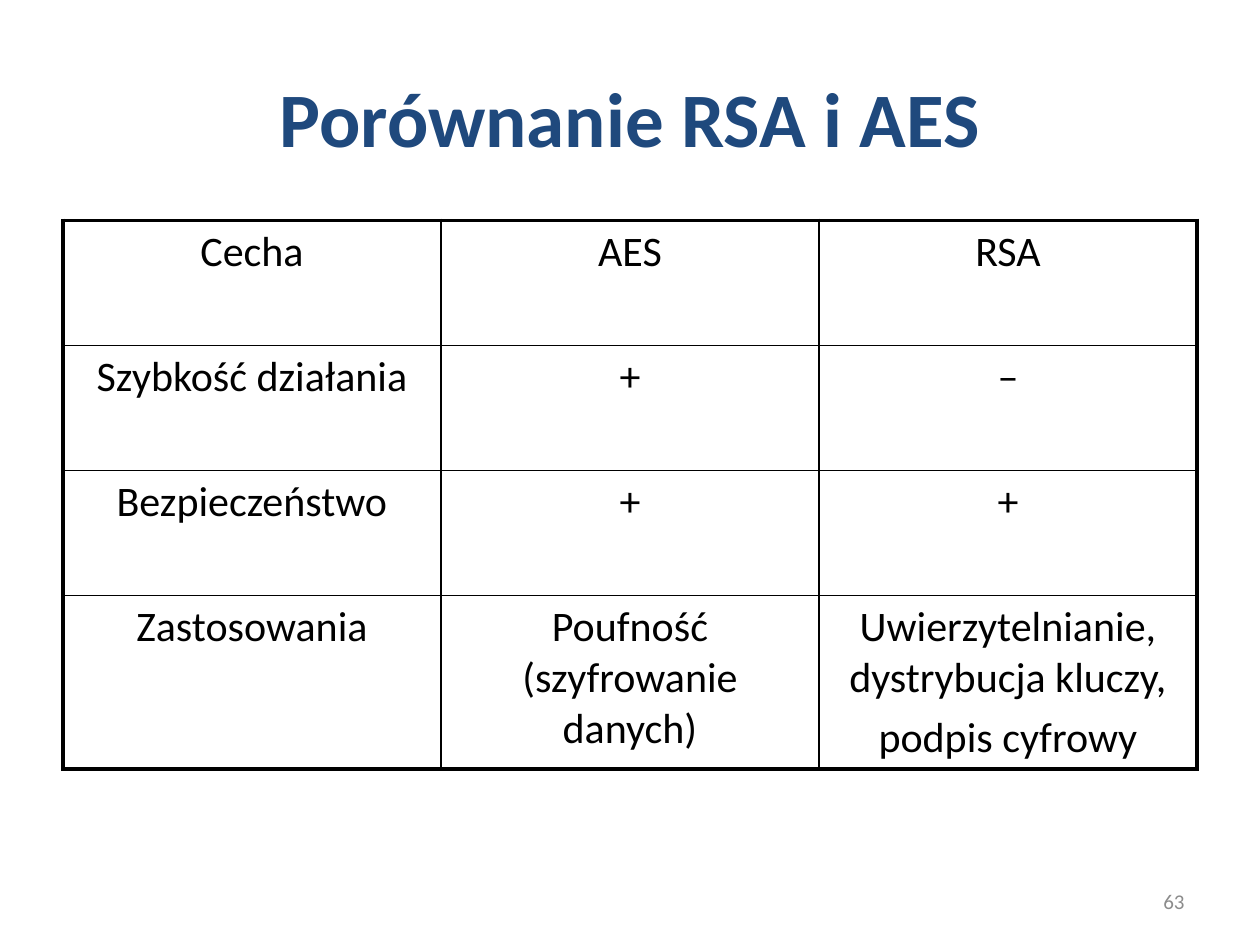
from lxml.etree import SubElement
from pptx import Presentation
from pptx.dml.color import RGBColor
from pptx.enum.text import MSO_ANCHOR, PP_ALIGN
from pptx.oxml.ns import qn
from pptx.util import Cm, Pt

TITLE = "Porównanie RSA i AES"
PAGE = "63"
ROWS = [
    ["Cecha", "AES", "RSA"],
    ["Szybkość działania", "+", "–"],
    ["Bezpieczeństwo", "+", "+"],
    ["Zastosowania", "Poufność (szyfrowanie danych)",
     "Uwierzytelnianie, dystrybucja kluczy,\npodpis cyfrowy"],
]
TALL = [2.52, 2.52, 2.52, 3.5]
LEFT, TOP, WIDE = 1.27, 4.44, 22.86
INK, THIN, THICK = "000000", 1, 2.25

HEAD = dict(size=Pt(44), bold=True, name="Calibri")
BODY = dict(size=Pt(24), name="Calibri")
FOOT = dict(size=Pt(12), name="Calibri")


def paint(color, code):
    color.rgb = RGBColor.from_string(code)


def write(frame, text, form, code, align, gap=0):
    frame.text = text
    for para in frame.paragraphs:
        para.alignment = align
        para.space_before = Pt(gap)
        for run in para.runs:
            for key, val in form.items():
                setattr(run.font, key, val)
            paint(run.font.color, code)


def label(slide, box, text, form, code, align):
    frame = slide.shapes.add_textbox(*map(Cm, box)).text_frame
    frame.word_wrap = True
    frame.vertical_anchor = MSO_ANCHOR.MIDDLE
    write(frame, text, form, code, align)


def border(cell, outer):
    """Draw all four sides, thick where the side is on the table's edge."""
    props = cell._tc.get_or_add_tcPr()
    for side, edge in outer.items():
        width = Pt(THICK if edge else THIN)
        line = SubElement(props, qn(f"a:ln{side}"), w=str(width))
        fill = SubElement(line, qn("a:solidFill"))
        SubElement(fill, qn("a:srgbClr"), val=INK)


def grid(slide):
    rows, cols = len(ROWS), len(ROWS[0])
    table = slide.shapes.add_table(
        rows, cols, Cm(LEFT), Cm(TOP), Cm(WIDE), Cm(sum(TALL))).table
    table.first_row = table.horz_banding = False
    for col in table.columns:
        col.width = Cm(WIDE / cols)
    for r, texts in enumerate(ROWS):
        table.rows[r].height = Cm(TALL[r])
        for c, text in enumerate(texts):
            cell = table.cell(r, c)
            write(cell.text_frame, text, BODY, INK, PP_ALIGN.CENTER, 4.8)
            border(cell, dict(L=c == 0, R=c == cols - 1,
                              T=r == 0, B=r == rows - 1))
            cell.fill.background()


def main():
    deck = Presentation()
    deck.slide_width, deck.slide_height = Cm(25.4), Cm(19.05)
    slide = deck.slides.add_slide(deck.slide_layouts[6])
    label(slide, (LEFT, 0.76, WIDE, 3.18), TITLE, HEAD, "1F497D",
          PP_ALIGN.CENTER)
    grid(slide)
    label(slide, (18.2, 17.66, 5.93, 1.01), PAGE, FOOT, "8C8C8C",
          PP_ALIGN.RIGHT)
    deck.save("out.pptx")


if __name__ == "__main__":
    main()
